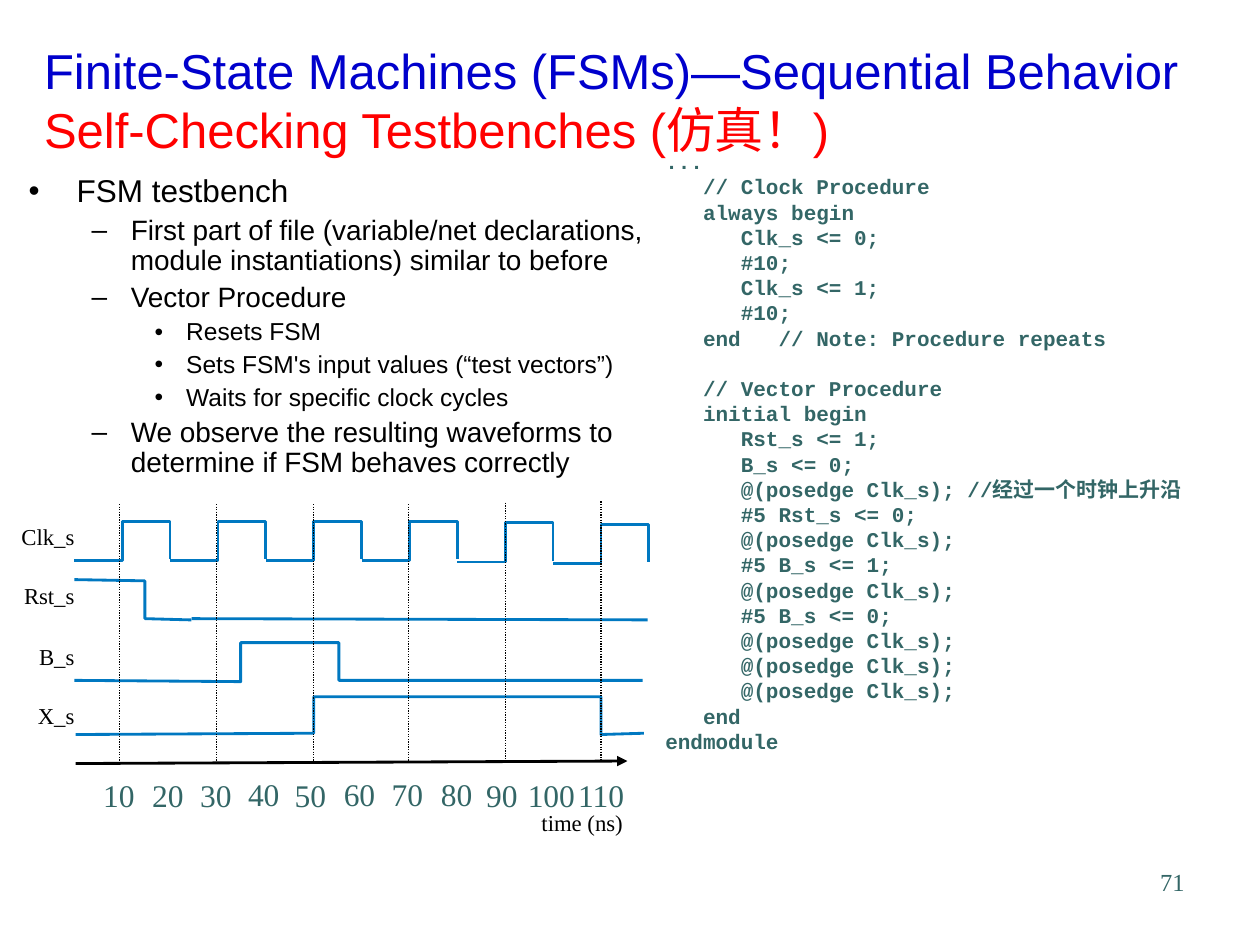
"""Build the slide on self-checking testbenches for finite-state machines."""
from lxml import etree
from pptx import Presentation
from pptx import util as u
from pptx.dml.color import RGBColor
from pptx.enum import dml, shapes, text
from pptx.oxml.ns import qn

PX = 9144
BLACK = RGBColor(0x00, 0x00, 0x00)
BLUE = RGBColor(0x00, 0x00, 0xCC)
RED = RGBColor(0xFF, 0x00, 0x00)
TEAL = RGBColor(0x33, 0x66, 0x66)
WAVE = RGBColor(0x00, 0x78, 0xC1)
SANS, SERIF, MONO = "Arial", "Times New Roman", "Courier New"
LEFT, CENTER, RIGHT = text.PP_ALIGN.LEFT, text.PP_ALIGN.CENTER, text.PP_ALIGN.RIGHT

BULLET_LEVELS = [("•", 18, 38, 38, 4.5), ("–", 16, 81, 31, 4), ("•", 14, 125, 25, 3.5)]
POINTS = [
    (0, "FSM testbench"),
    (1, "First part of file (variable/net declarations, module instantiations) similar to before"),
    (1, "Vector Procedure"),
    (2, "Resets FSM"),
    (2, "Sets FSM's input values (“test vectors”)"),
    (2, "Waits for specific clock cycles"),
    (1, "We observe the resulting waveforms to determine if FSM behaves correctly"),
]
CLOCK_CODE = """...
   // Clock Procedure
   always begin
      Clk_s <= 0;
      #10;
      Clk_s <= 1;
      #10;
   end   // Note: Procedure repeats"""
VECTOR_CODE = """   // Vector Procedure
   initial begin
      Rst_s <= 1;
      B_s <= 0;
      @(posedge Clk_s); //经过一个时钟上升沿
      #5 Rst_s <= 0;
      @(posedge Clk_s);
      #5 B_s <= 1;
      @(posedge Clk_s);
      #5 B_s <= 0;
      @(posedge Clk_s);
      @(posedge Clk_s);
      @(posedge Clk_s);
   end
endmodule"""
SIGNALS = [("Clk_s", 5, 415), ("Rst_s", 4, 462), ("B_s", 22, 510), ("X_s", 22, 557)]
LABEL_RIGHT = 59
CLOCK_START, CLOCK_PERIOD = 59, 76
CLOCK_TOPS = [414, 414, 414, 414, 415, 416]
WAVES = [
    [(59, 460), (115, 461), (115, 491), (152, 492)],
    [(152, 491), (514, 492)],
    [(59, 540), (191, 541), (191, 510), (269, 510), (269, 540), (510, 540)],
    [(60, 583), (249, 582), (249, 553), (477, 553), (477, 583), (511, 582)],
]
EDGES = [(95, 400), (172, 400), (249, 400), (324, 400), (401, 399), (477, 398)]
TICK_LEFTS = [72, 111, 149, 187, 224, 263, 301, 340, 376, 409, 449]
RAISED_TICKS = {40, 60, 70, 80}


class Slide:
    def __init__(self, deck):
        self.page = deck.slides.add_slide(deck.slide_layouts[5])

    def style(self, para, size, face, color=None, bold=False):
        font = para.font
        font.size, font.name, font.bold = u.Pt(size), face, bold
        if color is not None:
            font.color.rgb = color

    def title(self, left, top, width, height, lines):
        box = self.page.shapes.title
        box.left, box.top, box.width, box.height = (v * PX for v in (left, top, width, height))
        frame = box.text_frame
        frame.auto_size = text.MSO_AUTO_SIZE.NONE
        frame.vertical_anchor = text.MSO_ANCHOR.MIDDLE
        para = frame.paragraphs[0]
        para.alignment = LEFT
        self.style(para, 28, SANS)
        for index, (words, color) in enumerate(lines):
            if index:
                para.add_line_break()
            span = para.add_run()
            span.text = words
            span.font.color.rgb = color

    def frame(self, left, top, width, height, padded=True, wrap=True):
        box = self.page.shapes.add_textbox(left * PX, top * PX, width * PX, height * PX)
        frame = box.text_frame
        frame.word_wrap = wrap
        if not padded:
            frame.margin_left = frame.margin_right = frame.margin_top = frame.margin_bottom = 0
        return frame

    def label(self, words, left, top, width, height, size, color, align=LEFT, padded=False):
        para = self.frame(left, top, width, height, padded).paragraphs[0]
        para.text, para.alignment = words, align
        self.style(para, size, SERIF, color)

    def bullets(self, left, top, width, height, points):
        frame = self.frame(left, top, width, height)
        for index, (level, words) in enumerate(points):
            mark, size, margin, hang, before = BULLET_LEVELS[level]
            para = frame.add_paragraph() if index else frame.paragraphs[0]
            para.text, para.level, para.line_spacing = words, level, 0.9
            para.space_before = u.Pt(before if index else 0)
            props = para._p.get_or_add_pPr()
            props.set("marL", str(margin * PX))
            props.set("indent", str(-hang * PX))
            etree.SubElement(props, qn("a:buFont")).set("typeface", SANS)
            etree.SubElement(props, qn("a:buChar")).set("char", mark)
            self.style(para, size, SANS, BLACK)

    def code(self, left, top, width, height, blocks):
        frame = self.frame(left, top, width, height, padded=False, wrap=False)
        para = frame.paragraphs[0]
        pitch = u.Pt(14.4)
        for block_index, block in enumerate(blocks):
            for line_index, line in enumerate(block.split("\n")):
                if block_index or line_index:
                    para = frame.add_paragraph()
                para.text, para.line_spacing = line, pitch
                if block_index and not line_index:
                    para.space_before = pitch
                self.style(para, 12, MONO, TEAL, bold=True)

    def wave(self, points):
        (x, y), *rest = points
        builder = self.page.shapes.build_freeform(x, y, scale=PX)
        builder.add_line_segments(rest, close=False)
        shape = builder.convert_to_shape()
        shape.shadow.inherit = False
        shape.fill.background()
        shape.line.color.rgb, shape.line.width = WAVE, u.Pt(1.62)

    def line(self, x1, y1, x2, y2, width, dotted=False, arrow=False):
        line = self.page.shapes.add_connector(
            shapes.MSO_CONNECTOR.STRAIGHT, x1 * PX, y1 * PX, x2 * PX, y2 * PX)
        line.line.color.rgb, line.line.width = BLACK, u.Pt(width)
        if dotted:
            line.line.dash_style = dml.MSO_LINE.ROUND_DOT
        if arrow:
            etree.SubElement(line.line._get_or_add_ln(), qn("a:tailEnd")).set("type", "triangle")
        etree.SubElement(line._element.spPr, qn("a:effectLst"))


def main():
    deck = Presentation()
    deck.slide_width, deck.slide_height = 1000 * PX, 750 * PX
    slide = Slide(deck)
    slide.label("71", 742, 683, 208, 50, 14, TEAL, RIGHT, padded=True)
    slide.title(25, 33, 953, 92, [
        ("Finite-State Machines (FSMs)—Sequential Behavior", BLUE),
        ("Self-Checking Testbenches (仿真！)", RED)])
    slide.bullets(13, 134, 524, 263, POINTS)
    slide.code(528, 118, 414, 480, [CLOCK_CODE, VECTOR_CODE])

    for name, left, top in SIGNALS:
        slide.label(name, left, top, LABEL_RIGHT - left, 22, 13, BLACK, RIGHT)
    for index, top in enumerate(CLOCK_TOPS):
        start = CLOCK_START + index * CLOCK_PERIOD
        rise, end = start + CLOCK_PERIOD // 2, start + CLOCK_PERIOD
        slide.wave([(start, top + 31), (rise, top + 31), (rise, top), (end, top), (end, top + 30)])
    for points in WAVES:
        slide.wave(points)
    for x, top in EDGES:
        slide.line(x, top, x, top + 205, 0.75, dotted=True)

    slide.line(60, 606, 498, 604, 1.62, arrow=True)
    for index, left in enumerate(TICK_LEFTS):
        time = 10 * (index + 1)
        top = 610 if time in RAISED_TICKS else 611
        slide.label(str(time), left, top, 48 if time < 100 else 62, 40, 18, TEAL, padded=True)
    slide.label("time (ns)", 405, 642, 114, 22, 13, BLACK, CENTER)
    deck.save("out.pptx")


if __name__ == "__main__":
    main()
